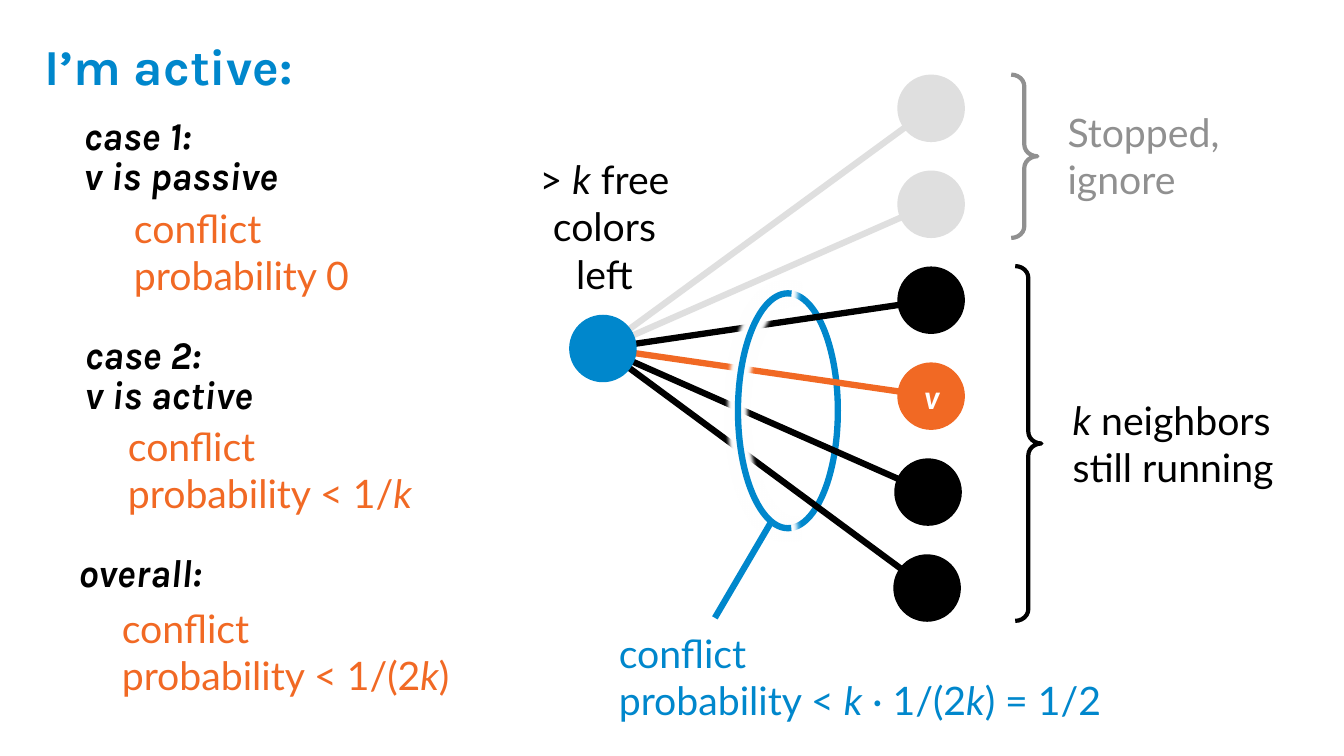
from lxml.etree import SubElement
from pptx import Presentation
from pptx.dml.color import RGBColor
from pptx.enum.shapes import MSO_CONNECTOR, MSO_SHAPE
from pptx.enum.text import MSO_ANCHOR, MSO_AUTO_SIZE, PP_ALIGN
from pptx.oxml.ns import qn
from pptx.util import Inches, Pt

COLOURS = {"blue": "0087CC", "orange": "F16924", "black": "000000",
           "grey": "909090", "pale": "DFDFDF", "white": "FFFFFF"}
HEADING = {"name": "Karla", "size": Pt(28), "bold": True, "italic": True}
TITLE = HEADING | {"size": Pt(36), "italic": False}
LABEL = {"name": "Lato", "size": Pt(28), "bold": False}
NODE_LABEL = HEADING | {"size": Pt(24)}
TIGHT = {"line_spacing": 0.85, "alignment": PP_ALIGN.LEFT}
CENTRED = {"alignment": PP_ALIGN.CENTER}
NODE_SIZE = (5.03, 8.93)
RING = (54.91, 38.8, 7.43, 31.07)


def rgb(colour):
    return RGBColor.from_string(COLOURS[colour])


def set_all(target, values):
    for name, value in values.items():
        setattr(target, name, value)


class Canvas:
    """Draws on one slide; every length is a percentage of its width or height."""

    def __init__(self, presentation):
        self.width, self.height = presentation.slide_width, presentation.slide_height
        self.slide = presentation.slides.add_slide(presentation.slide_layouts[5])
        self.shapes = self.slide.shapes

    def lengths(self, *shares):
        sides = (self.width, self.height) * 2
        return [round(side * share / 100) for side, share in zip(sides, shares)]

    def fill_text(self, frame, text, colour, font, paragraph_format):
        """Fill a frame; asterisks enclose italics and newlines become line breaks."""
        paragraph = frame.paragraphs[0]
        set_all(paragraph, paragraph_format)
        for index, part in enumerate(text.split("*")):
            for row, line in enumerate(part.split("\n")):
                if row:
                    paragraph.add_line_break()
                if line:
                    run = paragraph.add_run()
                    run.text = line
                    set_all(run.font, {"italic": index % 2 == 1} | font)
                    run.font.color.rgb = rgb(colour)

    def title(self, text, box, colour):
        shape = self.shapes.title
        set_all(shape, dict(zip(("left", "top", "width", "height"), self.lengths(*box))))
        set_all(shape.text_frame, {"word_wrap": True, "auto_size": MSO_AUTO_SIZE.NONE,
                                   "vertical_anchor": MSO_ANCHOR.TOP})
        self.fill_text(shape.text_frame, text, colour, TITLE, TIGHT)

    def text(self, text, box, colour, font=LABEL, paragraph_format=None,
             anchor=MSO_ANCHOR.MIDDLE):
        frame = self.shapes.add_textbox(*self.lengths(*box)).text_frame
        set_all(frame, {"word_wrap": True, "vertical_anchor": anchor,
                        "auto_size": MSO_AUTO_SIZE.SHAPE_TO_FIT_TEXT})
        self.fill_text(frame, text, colour, font, paragraph_format or {})

    def heading(self, text, box):
        self.text(text, box, "black", HEADING, TIGHT, MSO_ANCHOR.TOP)

    def outline(self, kind, box, colour, weight, adjustments=()):
        shape = self.shapes.add_shape(kind, *self.lengths(*box))
        shape.shadow.inherit = False
        shape.fill.background()
        shape.line.color.rgb = rgb(colour)
        shape.line.width = Pt(weight)
        for index, value in enumerate(adjustments):
            shape.adjustments[index] = value
        return shape

    def halo_arc(self, box, colour, adjustments):
        """Draw an arc whose white glow parts the lines that pass under it."""
        shape = self.outline(MSO_SHAPE.ARC, box, colour, 4.5, adjustments)
        effects = shape._element.spPr.find(qn("a:effectLst"))
        glow = SubElement(effects, qn("a:glow"), rad=str(Pt(7)))
        SubElement(glow, qn("a:srgbClr"), val=COLOURS["white"])

    def line(self, start, end, colour):
        connector = self.shapes.add_connector(
            MSO_CONNECTOR.STRAIGHT, *self.lengths(*start, *end))
        SubElement(connector._element.spPr, qn("a:effectLst"))
        connector.line.color.rgb = rgb(colour)
        connector.line.width = Pt(4.5)

    def node(self, centre, colour, label=""):
        corner = [middle - size / 2 for middle, size in zip(centre, NODE_SIZE)]
        shape = self.shapes.add_shape(
            MSO_SHAPE.OVAL, *self.lengths(*corner, *NODE_SIZE))
        shape.shadow.inherit = False
        shape.fill.solid()
        shape.fill.fore_color.rgb = rgb(colour)
        shape.line.fill.background()
        if label:
            shape.text_frame.vertical_anchor = MSO_ANCHOR.MIDDLE
            self.fill_text(shape.text_frame, label, "white", NODE_LABEL, CENTRED)


def draw_cases(canvas):
    canvas.title("I’m active:", (2.55, 5.2, 33.98, 8.4), "blue")
    cases = [
        ("case 1:\nv is passive", (5.48, 15.07, 33.98, 12.13),
         "conflict\nprobability 0", (9.23, 26.27, 25.28, 13.87)),
        ("case 2:\nv is active", (5.55, 44, 33.98, 12.13),
         "conflict\nprobability < 1/*k*", (8.78, 55.2, 25.28, 13.87)),
        ("overall:", (5.1, 72.8, 33.98, 6.8),
         "conflict\nprobability < 1/(2*k*)", (8.33, 79.2, 33.91, 13.87)),
    ]
    for heading, heading_box, result, result_box in cases:
        canvas.heading(heading, heading_box)
        canvas.text(result, result_box, "orange")


def draw_graph(canvas):
    canvas.outline(MSO_SHAPE.OVAL, RING, "blue", 4.5)
    for box, colour in (((75.24, 9.87, 1.95, 21.6), "grey"),
                        ((75.54, 35.2, 1.95, 46.93), "black")):
        canvas.outline(MSO_SHAPE.RIGHT_BRACE, box, colour, 3, (0.45, 0.5))
    canvas.text("Stopped, ignore", (78.69, 13.6, 14.25, 13.87), "grey")
    canvas.text("*k* neighbors\nstill running", (79.07, 51.73, 21.01, 13.87), "black")
    canvas.text("> *k* free\ncolors\nleft", (37.51, 19.87, 14.93, 20.13),
                "black", paragraph_format=CENTRED)
    canvas.text("conflict\nprobability < *k* · 1/(2*k*) = 1/2",
                (45.31, 82.53, 43.14, 13.87), "blue")

    hub = (44.86, 46.1)
    neighbours = [(69.28, "pale", ""), (69.28, "pale", ""), (69.28, "black", ""),
                  (69.28, "orange", "v"), (69.05, "black", ""), (68.98, "black", "")]
    nodes = [((x, 14.33 + 12.69 * row), colour, label)
             for row, (x, colour, label) in enumerate(neighbours)]
    for centre, colour, _ in nodes[2:] + nodes[:2]:
        canvas.line(hub, centre, colour)
    canvas.node(hub, "blue")
    for node in nodes:
        canvas.node(*node)

    for angles in ((73.24, 152.35), (53.01, 163.06)):
        canvas.halo_arc(RING, "blue", angles)
    canvas.line((53.19, 81.73), (57.46, 68.8), "blue")


def main():
    presentation = Presentation()
    presentation.slide_width = Inches(13.33)
    presentation.slide_height = Inches(7.5)
    canvas = Canvas(presentation)
    draw_cases(canvas)
    draw_graph(canvas)
    presentation.save("out.pptx")


if __name__ == "__main__":
    main()
